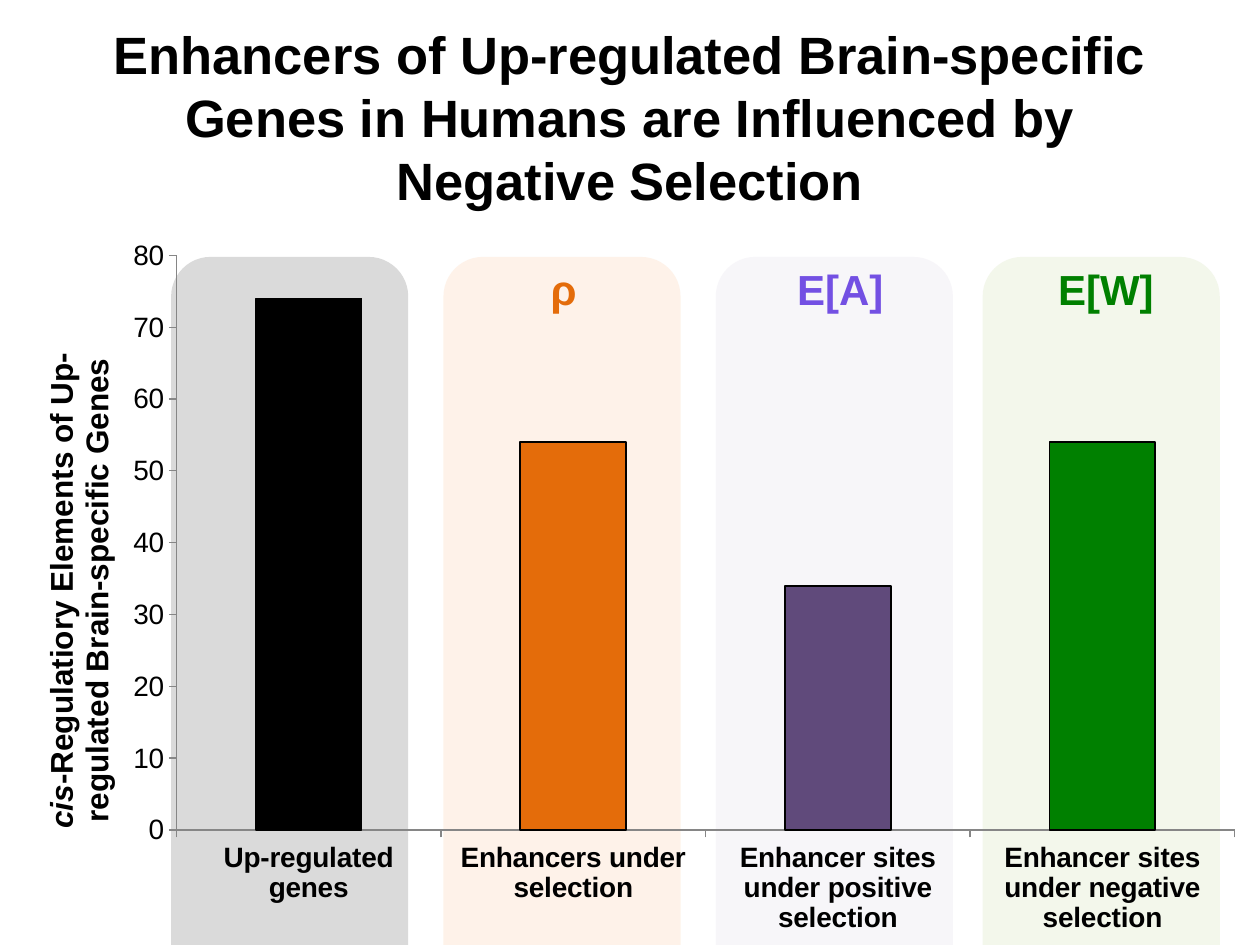
from dataclasses import dataclass

from lxml.etree import SubElement
from pptx import Presentation
from pptx.chart.data import CategoryChartData
from pptx.dml.color import RGBColor
from pptx.enum.chart import XL_CHART_TYPE, XL_TICK_MARK
from pptx.enum.shapes import MSO_SHAPE
from pptx.enum.text import MSO_ANCHOR, MSO_AUTO_SIZE, PP_ALIGN
from pptx.oxml import parse_xml
from pptx.oxml.ns import nsdecls, qn
from pptx.util import Cm, Pt

FONT = "Arial"
BLACK = "000000"
BAND_TOP = 5.18
BAND_WIDTH = 4.78
BAND_HEIGHT = 13.87
BAND_ALPHA = 29


@dataclass(frozen=True)
class Measure:
    category: str
    count: int
    bar_color: str
    band_left: float
    band_color: str
    symbol: str = ""
    symbol_left: float = 0
    symbol_width: float = 0
    symbol_color: str = BLACK


MEASURES = [
    Measure("Up-regulated genes", 74, BLACK, 3.45, "808080"),
    Measure("Enhancers under selection", 54, "E46C0A", 8.94, "FCD5B5",
            "ρ", 10.85, 1.04, "E46C0A"),
    Measure("Enhancer sites under positive selection", 34, "604A7B", 14.43, "E6E0EC",
            "E[A]", 15.82, 2.26, "7350E3"),
    Measure("Enhancer sites under negative selection", 54, "008000", 19.81, "D7E4BD",
            "E[W]", 21.08, 2.46, "008000"),
]


def rgb(color: str) -> RGBColor:
    return RGBColor.from_string(color)


def style_font(font, size: float, color: str = BLACK, bold: bool = False,
               italic: bool = False) -> None:
    font.name = FONT
    font.size = Pt(size)
    font.bold = bold
    font.italic = italic
    font.color.rgb = rgb(color)


def add_text(slide, text: str, *, left: float, top: float, width: float, height: float,
             size: float, color: str = BLACK, wrap: bool = False,
             align: PP_ALIGN = PP_ALIGN.LEFT, anchor: MSO_ANCHOR = MSO_ANCHOR.TOP) -> None:
    frame = slide.shapes.add_textbox(Cm(left), Cm(top), Cm(width), Cm(height)).text_frame
    frame.word_wrap = wrap
    frame.auto_size = MSO_AUTO_SIZE.NONE if wrap else MSO_AUTO_SIZE.SHAPE_TO_FIT_TEXT
    frame.vertical_anchor = anchor
    paragraph = frame.paragraphs[0]
    paragraph.alignment = align
    run = paragraph.add_run()
    run.text = text
    style_font(run.font, size, color, bold=True)


def add_band(slide, measure: Measure) -> None:
    band = slide.shapes.add_shape(
        MSO_SHAPE.ROUND_2_SAME_RECTANGLE,
        Cm(measure.band_left), Cm(BAND_TOP), Cm(BAND_WIDTH), Cm(BAND_HEIGHT))
    band.shadow.inherit = False
    band.line.fill.background()
    band.fill.solid()
    band.fill.fore_color.rgb = rgb(measure.band_color)
    color = band.fill._xPr.find(".//" + qn("a:srgbClr"))
    SubElement(color, qn("a:alpha")).set("val", str(BAND_ALPHA * 1000))


def place(element, index: int, **values) -> None:
    for old in element.findall(qn("c:layout")):
        element.remove(old)
    modes = "".join(f'<c:{axis}Mode val="edge"/>' for axis in "xy")
    lengths = "".join(f'<c:{key} val="{value}"/>' for key, value in values.items())
    target = '<c:layoutTarget val="inner"/>' if "w" in values else ""
    element.insert(index, parse_xml(
        f'<c:layout {nsdecls("c")}><c:manualLayout>{target}{modes}{lengths}'
        "</c:manualLayout></c:layout>"))


def style_axis(axis, bold: bool) -> None:
    axis.has_major_gridlines = False
    axis.major_tick_mark = XL_TICK_MARK.OUTSIDE
    axis.minor_tick_mark = XL_TICK_MARK.NONE
    axis.format.line.color.rgb = rgb("868686")
    axis.format.line.width = Pt(0.75)
    style_font(axis.tick_labels.font, 16, bold=bold)


def add_count_chart(slide, measures: list[Measure]) -> None:
    counts = CategoryChartData()
    counts.categories = [measure.category for measure in measures]
    counts.add_series("Series 1", [measure.count for measure in measures])
    chart = slide.shapes.add_chart(
        XL_CHART_TYPE.COLUMN_CLUSTERED, Cm(0), Cm(4.57), Cm(25.4), Cm(14.48), counts).chart
    chart.has_legend = False
    chart.has_title = False
    style_font(chart.font, 16)

    plot = chart.plots[0]
    plot.gap_width = 150
    plot.vary_by_categories = False
    series = plot.series[0]
    series.format.fill.solid()
    series.format.fill.fore_color.rgb = rgb("4F81BD")
    for index, measure in enumerate(measures):
        bar = series.points[index].format
        bar.fill.solid()
        bar.fill.fore_color.rgb = rgb(measure.bar_color)
        bar.line.color.rgb = rgb(BLACK)
        bar.line.width = Pt(1)

    style_axis(chart.category_axis, bold=True)
    count_axis = chart.value_axis
    style_axis(count_axis, bold=False)
    count_axis.minimum_scale = 0
    count_axis.maximum_scale = 80
    count_axis.major_unit = 10

    axis_title = count_axis.axis_title
    paragraph = axis_title.text_frame.paragraphs[0]
    for text, italic in [("cis", True),
                         ("-Regulatiory Elements of Up-regulated Brain-specific Genes", False)]:
        run = paragraph.add_run()
        run.text = text
        style_font(run.font, 18, bold=True, italic=italic)
    axis_title.text_frame._txBody.bodyPr.set("rot", "-5400000")
    axis_title.text_frame._txBody.bodyPr.set("vert", "horz")
    place(axis_title._element, 1, x=0.03, y=0.17)
    place(chart._chartSpace.chart.plotArea, 0, x=0.14, y=0.04, w=0.84, h=0.8)


def main() -> None:
    presentation = Presentation()
    presentation.slide_width = Cm(25.4)
    presentation.slide_height = Cm(19.05)
    slide = presentation.slides.add_slide(presentation.slide_layouts[6])

    for measure in MEASURES:
        add_band(slide, measure)
    add_text(slide, "Enhancers of Up-regulated Brain-specific Genes in Humans "
             "are Influenced by Negative Selection",
             left=1.27, top=0.76, width=22.86, height=3.18, size=30, wrap=True,
             align=PP_ALIGN.CENTER, anchor=MSO_ANCHOR.MIDDLE)
    for measure in MEASURES:
        if measure.symbol:
            add_text(slide, measure.symbol, left=measure.symbol_left, top=BAND_TOP,
                     width=measure.symbol_width, height=1.27, size=24,
                     color=measure.symbol_color)
    add_count_chart(slide, MEASURES)
    presentation.save("out.pptx")


if __name__ == "__main__":
    main()
